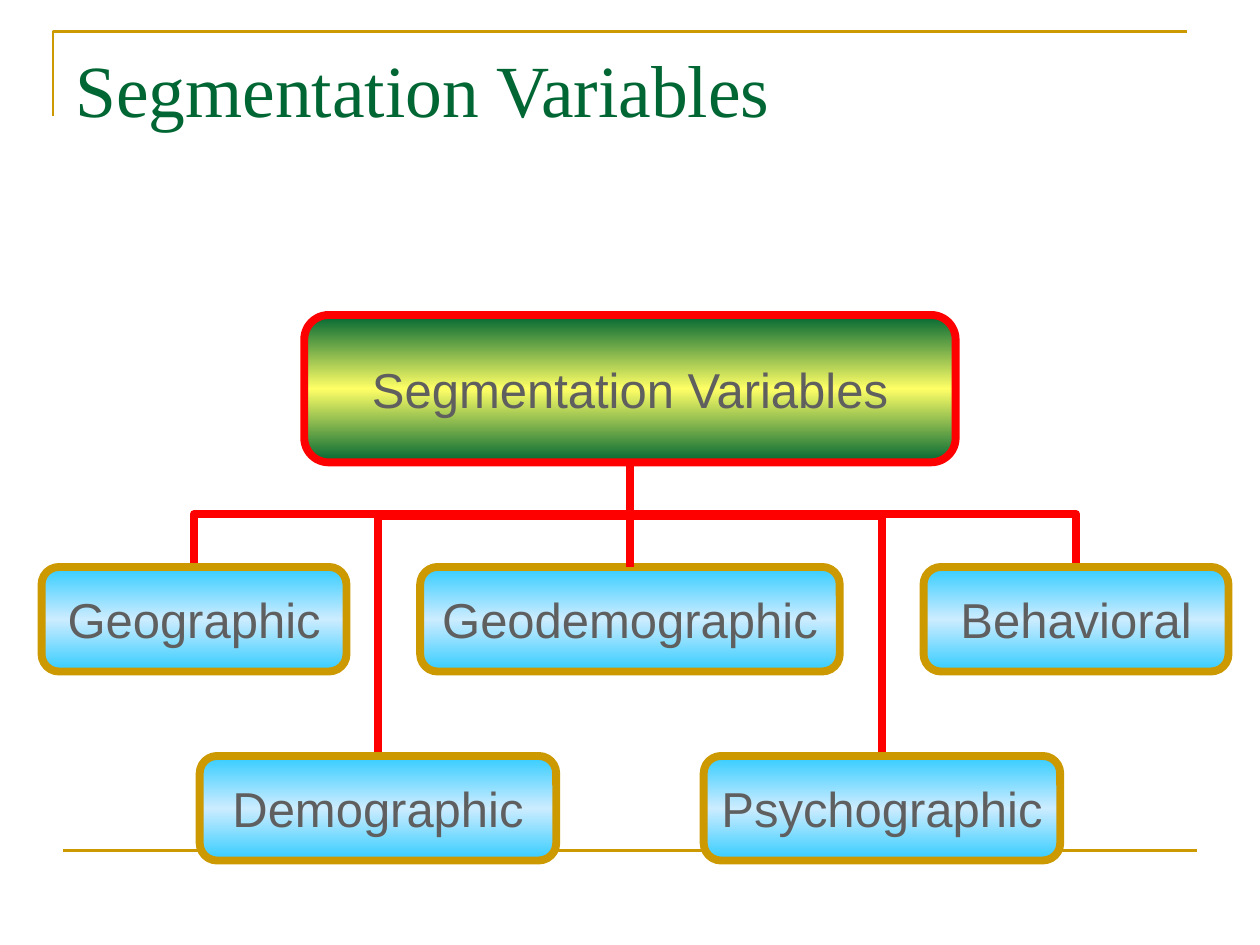
from copy import deepcopy

from lxml import etree
from pptx import Presentation
from pptx import util as u
from pptx.dml.color import RGBColor
from pptx.enum import shapes, text
from pptx.oxml.ns import qn

COLORS = {
    "gold": "CC9900",
    "green": "006633",
    "yellow": "FFFF66",
    "red": "FF0000",
    "blue": "33CCFF",
    "pale_blue": "CCECFF",
    "gray": "5F5F5F",
}
CENTER_X = 5
TRUNK_TOP = 3.7
LINE_GAP = 0.03
BOX_HEIGHT = 0.83
BRANCHES = [
    ("Geographic", 1.54, 4.5, 2.42, 4.08),
    ("Demographic", 3, 6, 2.83, 4.1),
    ("Psychographic", 7, 6, 2.83, 4.1),
    ("Behavioral", 8.54, 4.5, 2.42, 4.08),
]


def color(name):
    return RGBColor.from_string(COLORS[name])


def write(shape, content, font="Arial", size=28, fill="gray", align=text.PP_ALIGN.CENTER,
          anchor=text.MSO_ANCHOR.MIDDLE, wrap=False):
    frame = shape.text_frame
    frame.word_wrap = wrap
    frame.vertical_anchor = anchor
    paragraph = frame.paragraphs[0]
    paragraph.alignment = align
    run = paragraph.add_run()
    run.text = content
    run.font.name = font
    run.font.size = u.Pt(size)
    run.font.color.rgb = color(fill)


def set_line(shape, name, width):
    shape.line.color.rgb = color(name)
    shape.line.width = u.Pt(width)


def set_gradient(shape, edge, middle):
    shape.fill.gradient()
    shape.fill.gradient_angle = 270
    stop_list = shape._element.spPr.find(".//" + qn("a:gsLst"))
    stop_list.append(deepcopy(stop_list[-1]))
    stops = zip(shape.fill.gradient_stops, (0, 0.5, 1), (edge, middle, edge))
    for stop, position, name in stops:
        stop.position = position
        stop.color.rgb = color(name)


def add_box(slide, label, center, top, width, height=BOX_HEIGHT,
            edge="blue", middle="pale_blue", border="gold"):
    box = slide.shapes.add_shape(
        shapes.MSO_SHAPE.ROUNDED_RECTANGLE, u.Inches(center - width / 2),
        u.Inches(top), u.Inches(width), u.Inches(height))
    box.shadow.inherit = False
    set_gradient(box, edge, middle)
    set_line(box, border, 4.5)
    write(box, label)
    return box


def add_line(slide, start, end, name, width, kind=shapes.MSO_CONNECTOR.STRAIGHT):
    points = [u.Inches(value) for value in (*start, *end)]
    line = slide.shapes.add_connector(kind, *points)
    set_line(line, name, width)
    etree.SubElement(line._element.spPr, qn("a:effectLst"))
    return line


def add_elbow(slide, x, bottom, bus):
    width, height = abs(x - CENTER_X), bottom - TRUNK_TOP
    middle_x, middle_y = (x + CENTER_X) / 2, (bottom + TRUNK_TOP) / 2
    side = 1 if x < CENTER_X else -1
    start = (middle_x + side * height / 2, middle_y + width / 2)
    end = (middle_x - side * height / 2, middle_y - width / 2)
    elbow = add_line(slide, start, end, "red", 4.5, shapes.MSO_CONNECTOR.ELBOW)
    properties = elbow._element.spPr
    angle = 90 if side == 1 else 270
    properties.find(qn("a:xfrm")).set("rot", str(angle * 60000))
    bend = round((bottom - bus) / height * 100000)
    guides = properties.find(".//" + qn("a:avLst"))
    etree.SubElement(guides, qn("a:gd"), name="adj1", fmla=f"val {bend}")


def add_frame(slide):
    builder = slide.shapes.build_freeform(u.Inches(0.42), u.Inches(0.92))
    corner = [(u.Inches(0.42), u.Inches(0.25)), (u.Inches(9.42), u.Inches(0.25))]
    builder.add_line_segments(corner, close=False)
    bracket = builder.convert_to_shape()
    bracket.shadow.inherit = False
    bracket.fill.background()
    set_line(bracket, "gold", 1.5)
    add_line(slide, (0.5, 6.75), (9.5, 6.75), "gold", 1.5)


def add_title(slide, content):
    title = slide.shapes.add_textbox(
        u.Inches(0.5), u.Inches(0.3), u.Inches(9), u.Inches(1.25))
    write(title, content, font="Times New Roman", size=42, fill="green",
          align=text.PP_ALIGN.LEFT, anchor=text.MSO_ANCHOR.TOP, wrap=True)


def main():
    presentation = Presentation()
    presentation.slide_width = u.Inches(10)
    presentation.slide_height = u.Inches(7.5)
    slide = presentation.slides.add_slide(presentation.slide_layouts[6])

    add_frame(slide)
    add_title(slide, "Segmentation Variables")
    root = add_box(slide, "Segmentation Variables", CENTER_X, 2.5, 5.17, 1.17,
                   edge="green", middle="yellow", border="red")
    for label, center, top, width, bus in BRANCHES:
        add_box(slide, label, center, top, width)
        add_elbow(slide, center, top - LINE_GAP, bus)
    child = add_box(slide, "Geodemographic", CENTER_X, 4.5, 3.33)
    trunk = add_line(slide, (CENTER_X, 4.5), (CENTER_X, 3.67), "red", 4.5)
    trunk.begin_connect(child, 0)
    trunk.end_connect(root, 2)

    presentation.save("out.pptx")


if __name__ == "__main__":
    main()
